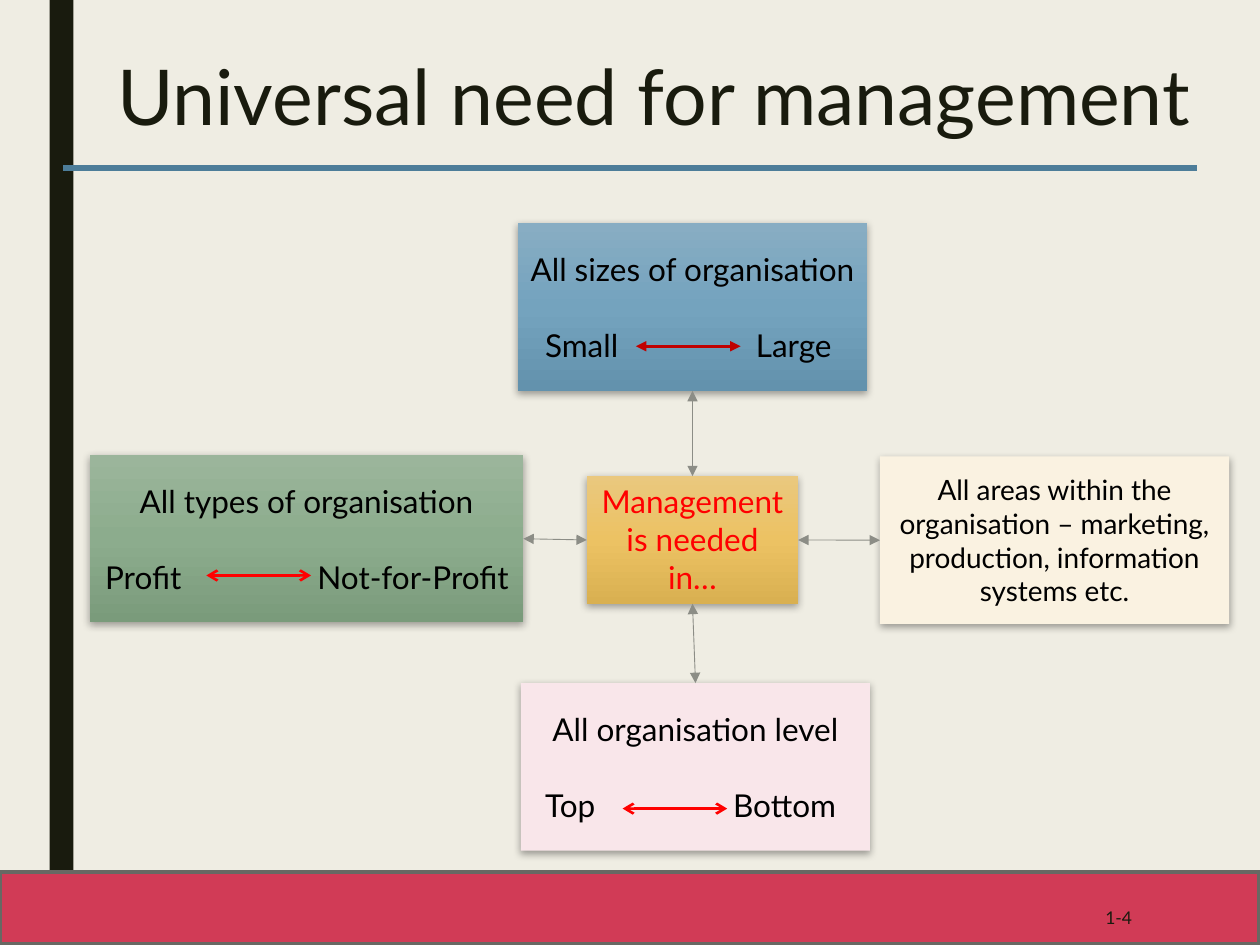
from copy import deepcopy
from lxml import etree
from pptx import Presentation
from pptx.dml.color import RGBColor
from pptx.enum.shapes import MSO_CONNECTOR, MSO_SHAPE
from pptx.enum.text import MSO_ANCHOR, PP_ALIGN
from pptx.oxml import parse_xml
from pptx.oxml.ns import nsdecls, qn
from pptx.util import Cm, Pt

RECT = MSO_SHAPE.RECTANGLE
STRAIGHT = MSO_CONNECTOR.STRAIGHT
TOP, MIDDLE = MSO_ANCHOR.TOP, MSO_ANCHOR.MIDDLE
LEFT, CENTER, RIGHT = PP_ALIGN.LEFT, PP_ALIGN.CENTER, PP_ALIGN.RIGHT

CREAM = RGBColor(0xEF, 0xED, 0xE3)
DARK = RGBColor(0x19, 0x1B, 0x0E)
CRIMSON = RGBColor(0xD1, 0x3B, 0x56)
FRAME = RGBColor(0x68, 0x68, 0x63)
STEEL = RGBColor(0x4D, 0x7D, 0x99)
GRAY = RGBColor(0x8C, 0x8D, 0x86)
BLACK = RGBColor(0, 0, 0)
RED = RGBColor(0xFF, 0, 0)
DARK_RED = RGBColor(0xC0, 0, 0)
PINK = RGBColor(0xF9, 0xE6, 0xEA)
IVORY = RGBColor(0xFA, 0xF2, 0xE1)
BLUES = [RGBColor(0x88, 0xAD, 0xC3), RGBColor(0x74, 0xA3, 0xBE), RGBColor(0x63, 0x92, 0xAD)]
GREENS = [RGBColor(0x9B, 0xB5, 0x9B), RGBColor(0x8C, 0xAC, 0x8D), RGBColor(0x7A, 0x9B, 0x7B)]
GOLDS = [RGBColor(0xEA, 0xC8, 0x7E), RGBColor(0xEC, 0xC2, 0x63), RGBColor(0xD9, 0xB0, 0x51)]

SHADOW = (
    f'<a:effectLst {nsdecls("a")}><a:outerShdw blurRad="57150" dist="19050" dir="5400000" '
    'algn="ctr" rotWithShape="0"><a:srgbClr val="000000"><a:alpha val="35000"/></a:srgbClr>'
    '</a:outerShdw></a:effectLst>'
)

prs = Presentation()
prs.slide_width, prs.slide_height = Cm(25.4), Cm(19.05)
s = prs.slides.add_slide(prs.slide_layouts[6])
s.background.fill.solid()
s.background.fill.fore_color.rgb = CREAM


def add_line(x1, y1, x2, y2, color, width, arrow=None):
    line = s.shapes.add_connector(STRAIGHT, Cm(x1), Cm(y1), Cm(x2), Cm(y2))
    line.line.color.rgb = color
    line.line.width = Pt(width)
    if arrow:
        ln = line.line._get_or_add_ln()
        for tag in ("a:headEnd", "a:tailEnd"):
            etree.SubElement(ln, qn(tag)).set("type", arrow)
    etree.SubElement(line._element.spPr, qn("a:effectLst"))
    return line


def format_text(p, size, color, align):
    p.alignment = align
    for r in p.runs:
        r.font.size = Pt(size)
        r.font.name = "Lato"
        r.font.color.rgb = color


for x, y, w, h, color in [(1, 0, 0.48, 19.05, DARK), (0, 17.58, 25.4, 1.47, CRIMSON)]:
    sp = s.shapes.add_shape(RECT, Cm(x), Cm(y), Cm(w), Cm(h))
    sp.shadow.inherit = False
    sp.fill.solid()
    sp.fill.fore_color.rgb = color
    sp.line.fill.background()
sp.line.color.rgb = FRAME
sp.line.width = Pt(2.75)

add_line(1.27, 3.38, 24.13, 3.38, STEEL, 3.5)

for text, x, y, w, h, size, align, anchor in [
    ("Universal need for management", 2.11, 1.07, 23.29, 4.11, 44, LEFT, TOP),
    ("1-4", 19.74, 17.93, 3.33, 1.12, 10, RIGHT, MIDDLE),
]:
    tf = s.shapes.add_textbox(Cm(x), Cm(y), Cm(w), Cm(h)).text_frame
    tf.word_wrap = True
    tf.vertical_anchor = anchor
    tf.text = text
    format_text(tf.paragraphs[0], size, DARK, align)
    tf.paragraphs[0].line_spacing = 0.89 if size == 44 else 1.0

boxes = {}
for name, x, y, w, h, colors, lines, size, color, tabs in [
    ("sizes", 10.44, 4.5, 7.04, 3.38, BLUES,
     ["All sizes of organisation", "\tSmall\tLarge"], 18, BLACK, (0.55, 4.8)),
    ("types", 1.81, 9.17, 8.74, 3.38, GREENS,
     ["All types of organisation", "\tProfit\tNot-for-Profit"], 18, BLACK, (0.31, 4.59)),
    ("centre", 11.83, 9.6, 4.26, 2.57, GOLDS,
     ["Management", "is needed", "in…"], 18, RED, None),
    ("levels", 10.5, 13.77, 7.04, 3.38, [PINK],
     ["All organisation level", "\tTop\tBottom"], 18, BLACK, (0.49, 4.28)),
    ("areas", 17.74, 9.2, 7.04, 3.38, [IVORY],
     ["All areas within the organisation – marketing, production, information systems etc."],
     16, BLACK, None),
]:
    sp = boxes[name] = s.shapes.add_shape(RECT, Cm(x), Cm(y), Cm(w), Cm(h))
    if len(colors) == 1:
        sp.fill.solid()
        sp.fill.fore_color.rgb = colors[0]
    else:
        sp.fill.gradient()
        sp.fill.gradient_angle = 270
        stops = sp.fill._fill._gradFill.find(qn("a:gsLst"))
        stops.append(deepcopy(stops[-1]))
        for stop, rgb, position in zip(sp.fill.gradient_stops, colors, (0, 0.5, 1)):
            stop.color.rgb = rgb
            stop.position = position
    sp.line.fill.background()
    sp._element.spPr.append(parse_xml(SHADOW))
    tf = sp.text_frame
    tf.word_wrap = True
    tf.vertical_anchor = TOP if name == "centre" else MIDDLE
    tf.text = "\n".join(lines)
    for p in tf.paragraphs:
        format_text(p, size, color, CENTER)
    if tabs:
        tf.margin_left = tf.margin_right = 0
        p = tf.paragraphs[1]
        p.alignment = LEFT
        p.space_before = Pt(21.6)
        tab_list = etree.SubElement(p._p.get_or_add_pPr(), qn("a:tabLst"))
        for pos in tabs:
            etree.SubElement(tab_list, qn("a:tab"), pos=str(Cm(pos)), algn="l")

for x, y, color, arrow in [
    (12.82, 6.98, DARK_RED, "triangle"),
    (12.55, 16.3, RED, "arrow"),
    (4.16, 11.6, RED, "arrow"),
]:
    add_line(x, y, x + 2.11, y, color, 1.5, arrow)

for name, start, end in [("sizes", 0, 2), ("types", 1, 3), ("levels", 2, 0), ("areas", 3, 1)]:
    link = add_line(0, 0, 1, 1, GRAY, 0.5, "triangle")
    link.begin_connect(boxes["centre"], start)
    link.end_connect(boxes[name], end)

prs.save("out.pptx")
